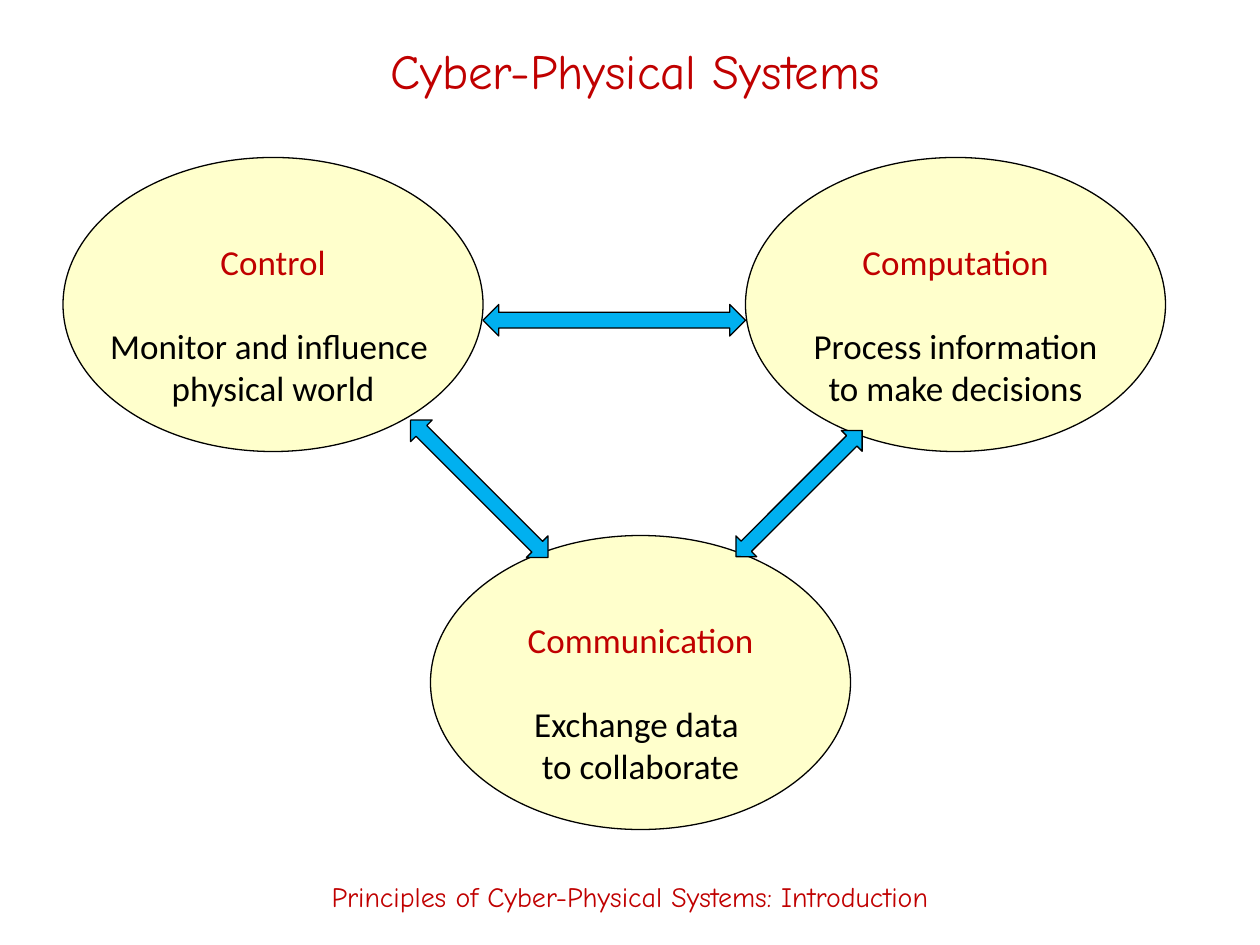
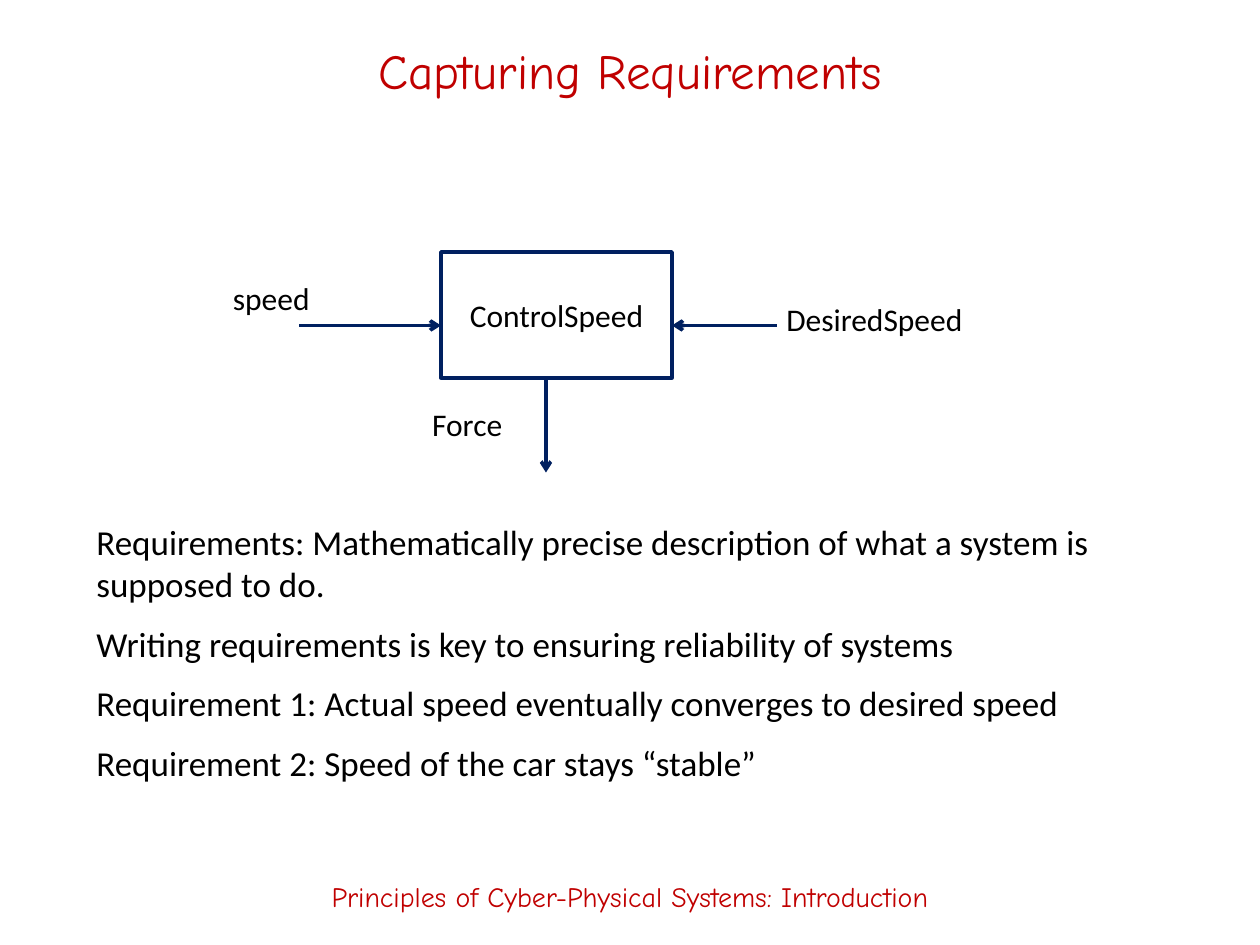
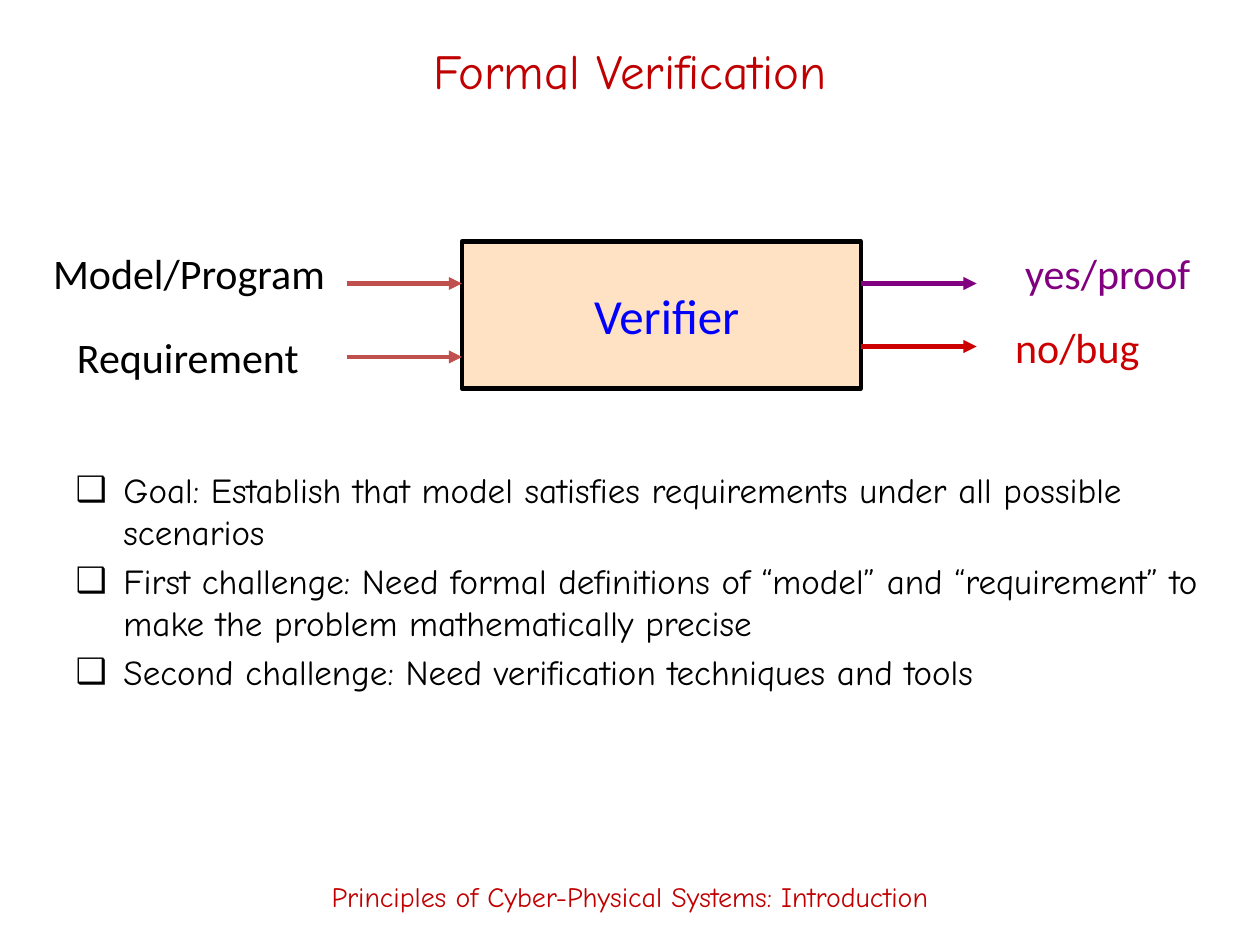
"""Build three slides on cyber-physical systems, laid out on a grid of 120 columns by 90 rows."""
from typing import NamedTuple

from lxml import etree
from pptx import Presentation
from pptx import util as u
from pptx.dml.color import RGBColor
from pptx.enum import shapes, text
from pptx.oxml import ns

RED = RGBColor(0xC0, 0x00, 0x00)
BLACK = RGBColor(0x00, 0x00, 0x00)
CREAM = RGBColor(0xFF, 0xFF, 0xCC)
SKY = RGBColor(0x00, 0xB0, 0xF0)
NAVY = RGBColor(0x00, 0x20, 0x60)
PEACH = RGBColor(0xFF, 0xCC, 0x99)
BRICK = RGBColor(0xC0, 0x50, 0x4D)
PURPLE = RGBColor(0x80, 0x00, 0x80)
SCARLET = RGBColor(0xCC, 0x00, 0x00)
BLUE = RGBColor(0x00, 0x00, 0xFF)

PLAIN = "Calibri"
COMIC = "Comic Neue"
WIDE, HIGH = u.Inches(10), u.Inches(7.5)
COL, ROW = WIDE / 120, HIGH / 90
LEFT, MID = text.PP_ALIGN.LEFT, text.PP_ALIGN.CENTER
KIND = shapes.MSO_SHAPE
FOOT = "Principles of Cyber-Physical Systems: Introduction"


class Box(NamedTuple):
    """A place on the grid."""
    col: float
    row: float
    wide: float
    high: float

    def size(self) -> tuple[int, int, int, int]:
        """Give left, top, width and height in EMU."""
        return (round(self.col * COL), round(self.row * ROW),
                round(self.wide * COL), round(self.high * ROW))


class Para(NamedTuple):
    """A paragraph, its colour and the points of space above it."""
    words: str
    color: RGBColor = BLACK
    gap: float = 0


class Node(NamedTuple):
    """An oval with a heading and two lines of detail."""
    col: float
    row: float
    head: str
    first: str
    second: str


class Tag(NamedTuple):
    """A label on the grid."""
    box: Box
    words: str
    color: RGBColor = BLACK
    align: text.PP_ALIGN = MID


class Arrow(NamedTuple):
    """A line on the grid with its head at the end."""
    col: float
    row: float
    to_col: float
    to_row: float
    color: RGBColor


def add_xml(parent, tag: str, **attrs: str) -> None:
    """Append a drawing element to a parent."""
    etree.SubElement(parent, ns.qn(tag), attrs)


def write(frame, paras: list[Para], *, size: float, face: str = PLAIN,
          align: text.PP_ALIGN = MID, middle: bool = False,
          wrap: bool = True, bullet: str = "") -> None:
    """Fill a text frame with formatted paragraphs."""
    frame.word_wrap = wrap
    frame.auto_size = text.MSO_AUTO_SIZE.NONE
    frame.vertical_anchor = text.MSO_ANCHOR.MIDDLE if middle else text.MSO_ANCHOR.TOP
    for i, para in enumerate(paras):
        line = frame.paragraphs[0] if i == 0 else frame.add_paragraph()
        line.alignment = align
        line.space_before = u.Pt(para.gap)
        if bullet:
            props = line._p.get_or_add_pPr()
            props.set("marL", str(u.Inches(0.38)))
            props.set("indent", str(-u.Inches(0.38)))
            add_xml(props, "a:buChar", char=bullet)
        run = line.add_run()
        run.text = para.words
        run.font.size = u.Pt(size)
        run.font.name = face
        run.font.color.rgb = para.color


def move(shape, box: Box) -> None:
    """Put a shape at a place on the grid."""
    shape.left, shape.top, shape.width, shape.height = box.size()


def label(slide, box: Box, paras: list[Para], **style) -> None:
    """Add a text box."""
    write(slide.shapes.add_textbox(*box.size()).text_frame, paras, **style)


def draw(slide, kind: KIND, box: Box, fill: RGBColor | None = None, *,
         edge: RGBColor = BLACK, width: float = 0.75, turn: float = 0):
    """Add a preset shape with a fill and an outline."""
    shape = slide.shapes.add_shape(kind, *box.size())
    shape.shadow.inherit = False
    shape.rotation = turn
    shape.line.color.rgb = edge
    shape.line.width = u.Pt(width)
    if fill is None:
        shape.fill.background()
    else:
        shape.fill.solid()
        shape.fill.fore_color.rgb = fill
    return shape


def point(slide, arrow: Arrow, *, width: float, head: str) -> None:
    """Add a line with an arrowhead at its end."""
    link = slide.shapes.add_connector(
        shapes.MSO_CONNECTOR.STRAIGHT, round(arrow.col * COL), round(arrow.row * ROW),
        round(arrow.to_col * COL), round(arrow.to_row * ROW))
    link.line.color.rgb = arrow.color
    link.line.width = u.Pt(width)
    add_xml(link.line._get_or_add_ln(), "a:tailEnd", type=head)
    add_xml(link._element.spPr, "a:effectLst")


def start(deck, title: str, layout: int = 5, box: Box = Box(6, 2, 108, 9.33)):
    """Add a slide with its title and footer."""
    slide = deck.slides.add_slide(deck.slide_layouts[layout])
    move(slide.shapes.title, box)
    write(slide.shapes.title.text_frame, [Para(title, RED)],
          size=28, face=COMIC, middle=True)
    label(slide, Box(0, 80.67, 120, 9.33), [Para(FOOT, RED)],
          size=16, face=COMIC, middle=True)
    return slide


def systems(deck) -> None:
    """Draw three linked ovals."""
    slide = start(deck, "Cyber-Physical Systems", box=Box(9, 2, 103, 9.33))
    nodes = [
        Node(6, 15, "Control", "Monitor and influence ", "physical world"),
        Node(71, 15, "Computation", "Process information", "to make decisions"),
        Node(41, 51, "Communication", "Exchange data ", "to collaborate"),
    ]
    for node in nodes:
        draw(slide, KIND.OVAL, Box(node.col, node.row, 40, 28), CREAM)
        label(slide, Box(node.col, node.row + 7.3, 40, 17.4),
              [Para(node.head, RED), Para(node.first, gap=24), Para(node.second)],
              size=20, wrap=False)
    links = [(Box(46, 29, 25, 3), 0), (Box(36.4, 45.1, 18.5, 2.9), 45),
             (Box(67.6, 45.6, 17, 2.8), 315)]
    for box, turn in links:
        draw(slide, KIND.LEFT_RIGHT_ARROW, box, SKY, turn=turn)


def needs(deck) -> None:
    """Draw the speed controller and its requirements."""
    slide = start(deck, "Capturing Requirements")
    draw(slide, KIND.RECTANGLE, Box(42, 24, 22, 12), edge=NAVY, width=2)
    arrows = [Arrow(74, 31, 64, 31, NAVY), Arrow(28.5, 31, 42, 31, NAVY),
              Arrow(52, 36, 52, 45, NAVY)]
    for arrow in arrows:
        point(slide, arrow, width=2, head="arrow")
    tags = [
        Tag(Box(73.7, 28, 27, 4.8), "DesiredSpeed", align=LEFT),
        Tag(Box(21, 26, 15, 5), "speed", align=LEFT),
        Tag(Box(35, 38, 19, 4.8), "Force"),
        Tag(Box(42, 27.6, 22, 4.8), "ControlSpeed"),
    ]
    for tag in tags:
        label(slide, tag.box, [Para(tag.words, tag.color)], size=18, align=tag.align)
    label(slide, Box(8, 49, 109, 27.5), [
        Para("Requirements: Mathematically precise description of what a system is "
             "supposed to do."),
        Para("Writing requirements is key to ensuring reliability of systems", gap=10),
        Para("Requirement 1: Actual speed eventually converges to desired speed", gap=10),
        Para("Requirement 2: Speed of the car stays “stable”", gap=10),
    ], size=20, align=LEFT)


def proof(deck) -> None:
    """Draw the verifier and list its challenges."""
    slide = start(deck, "Formal Verification", layout=1)
    block = draw(slide, KIND.RECTANGLE, Box(44, 23, 38, 14), PEACH, width=2.5)
    tint = block._element.spPr.find(ns.qn("a:solidFill"))[0]
    add_xml(tint, "a:alpha", val="58000")
    arrows = [Arrow(33, 27, 44, 27, BRICK), Arrow(33, 34, 44, 34, BRICK),
              Arrow(82, 27, 93, 27, PURPLE), Arrow(82, 33, 93, 33, SCARLET)]
    for arrow in arrows:
        point(slide, arrow, width=2.5, head="triangle")
    tags = [
        Tag(Box(3.7, 23, 28.6, 6), "Model/Program"),
        Tag(Box(5, 31, 25.8, 6), "Requirement"),
        Tag(Box(95, 23, 21, 6), "yes/proof", PURPLE),
        Tag(Box(95, 30, 15.2, 6), "no/bug", SCARLET),
    ]
    for tag in tags:
        label(slide, tag.box, [Para(tag.words, tag.color)],
              size=24, middle=True, wrap=False)
    label(slide, Box(42, 23, 43, 14), [Para("Verifier", BLUE)], size=28, middle=True)
    body = slide.placeholders[1]
    move(body, Box(6, 44, 111, 29))
    write(body.text_frame, [
        Para("Goal: Establish that model satisfies requirements under all possible "
             "scenarios"),
        Para("First challenge: Need formal definitions of “model” and “requirement” "
             "to make the problem mathematically precise", gap=4),
        Para("Second challenge: Need verification techniques and tools", gap=4),
    ], size=20, face=COMIC, align=LEFT, bullet="❑")


def main() -> None:
    """Build and save the deck."""
    deck = Presentation()
    deck.slide_width, deck.slide_height = WIDE, HIGH
    for build in (systems, needs, proof):
        build(deck)
    deck.save("out.pptx")


if __name__ == "__main__":
    main()
